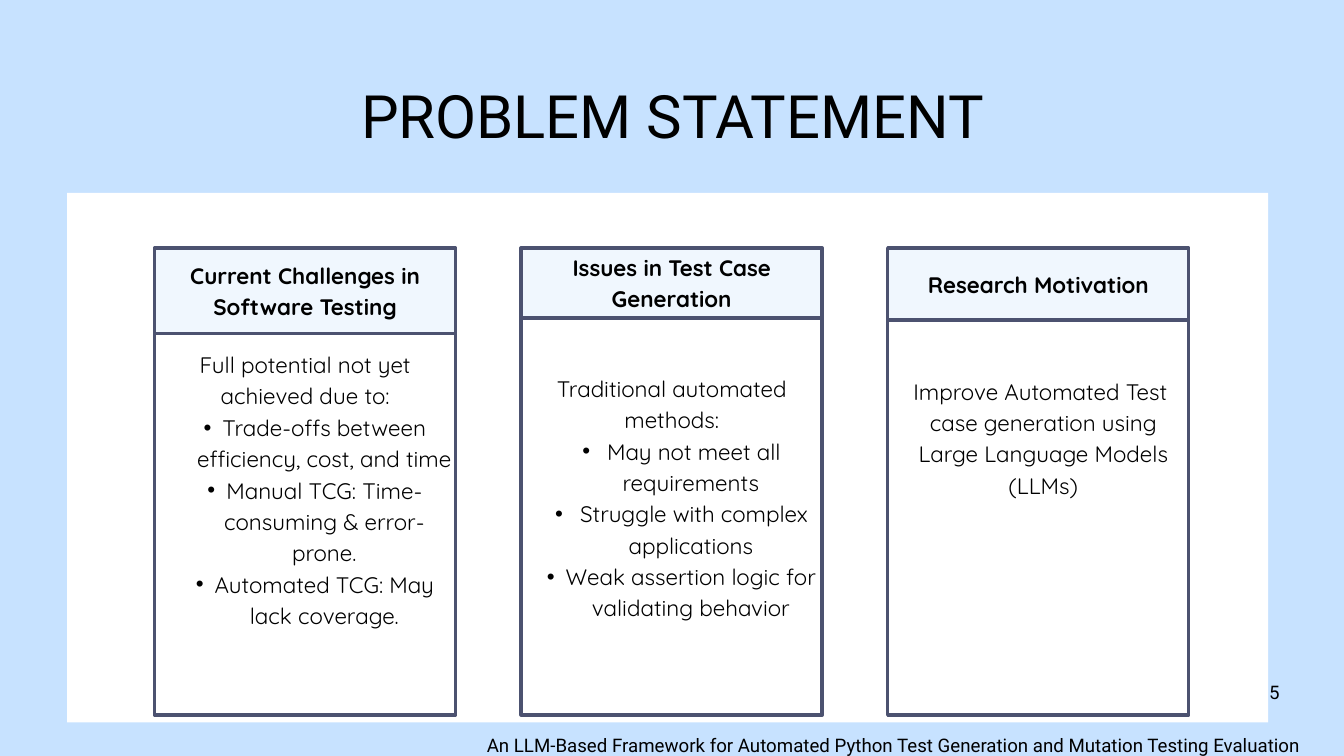
from dataclasses import dataclass

from lxml import etree
from pptx import Presentation
from pptx import util as u
from pptx.dml.color import RGBColor
from pptx.enum import shapes, text
from pptx.oxml.ns import qn

COLUMNS, ROWS = 20, 11.25
CELL = u.Inches(1)


@dataclass(frozen=True)
class Theme:
    backdrop: str = "C7E2FF"
    panel: str = "FFFFFF"
    head: str = "F0F7FE"
    border: str = "4C5270"
    ink: str = "000000"
    display: str = "Roboto"
    body: str = "Quicksand"
    title_size: float = 64
    body_size: float = 24
    note_size: float = 20
    leading: float = 1.4
    border_width: float = 3.75


THEME = Theme()


@dataclass(frozen=True)
class Box:
    column: float
    row: float
    columns: float
    rows: float

    def emu(self):
        return [round(n * CELL) for n in (self.column, self.row, self.columns, self.rows)]

    def split_rows(self, first):
        return (Box(self.column, self.row, self.columns, first),
                Box(self.column, self.row + first, self.columns, self.rows - first))

    def cards(self, count, width):
        pitch = (self.columns - width) / (count - 1)
        return [Box(self.column + i * pitch, self.row, width, self.rows) for i in range(count)]


CARDS = [
    {"head": "Current Challenges in Software Testing", "head_rows": 1.27,
     "lines": ["Full potential not yet achieved due to:"],
     "bullets": ["Trade-offs between efficiency, cost, and time",
                 "Manual TCG: Time-consuming & error-prone.",
                 "Automated TCG: May lack coverage."],
     "insets": (0.06, 0.06, 0.06, 1.14)},
    {"head": "Issues in Test Case Generation", "head_rows": 1.04,
     "lines": ["Traditional automated methods:"],
     "bullets": [" May not meet all requirements",
                 " Struggle with complex applications",
                 "Weak assertion logic for validating behavior"],
     "insets": (0.06, 0.06, 0.06, 0.67)},
    {"head": "Research Motivation", "head_rows": 1.07,
     "lines": ["Improve Automated Test ",
               "case generation using Large Language Models (LLMs)"],
     "bullets": [],
     "insets": (0.15, 0.06, 0, 2.48)},
]


def set_all(target, values):
    for name, value in values.items():
        setattr(target, name, value)


def add_bullet(paragraph):
    properties = paragraph._p.get_or_add_pPr()
    properties.set("marL", str(round(0.57 * CELL)))
    properties.set("indent", str(round(-0.28 * CELL)))
    etree.SubElement(properties, qn("a:buFont")).set("typeface", "Arial")
    etree.SubElement(properties, qn("a:buChar")).set("char", "•")


def write(shape, lines, font, size, bullets=(), bold=False, insets=(0, 0, 0, 0),
          anchor=text.MSO_ANCHOR.TOP, wrap=True):
    frame = shape.text_frame
    sides = ("margin_left", "margin_top", "margin_right", "margin_bottom")
    set_all(frame, {"word_wrap": wrap, "auto_size": text.MSO_AUTO_SIZE.NONE,
                    "vertical_anchor": anchor})
    set_all(frame, {side: round(inset * CELL) for side, inset in zip(sides, insets)})
    for i, line in enumerate([*lines, *bullets]):
        paragraph = frame.add_paragraph() if i else frame.paragraphs[0]
        set_all(paragraph, {"alignment": text.PP_ALIGN.CENTER,
                            "line_spacing": u.Pt(size * THEME.leading)})
        if i >= len(lines):
            paragraph.level = 1
            add_bullet(paragraph)
        run = paragraph.add_run()
        run.text = line
        set_all(run.font, {"name": font, "size": u.Pt(size), "bold": bold})
        run.font.color.rgb = RGBColor.from_string(THEME.ink)


def add_rectangle(slide, box, fill, border=None):
    shape = slide.shapes.add_shape(shapes.MSO_SHAPE.RECTANGLE, *box.emu())
    shape.shadow.inherit = False
    shape.fill.solid()
    shape.fill.fore_color.rgb = RGBColor.from_string(fill)
    if border:
        shape.line.color.rgb = RGBColor.from_string(border)
        shape.line.width = u.Pt(THEME.border_width)
    else:
        shape.line.fill.background()
    return shape


def add_title(slide, box, wording):
    title = slide.shapes.title
    set_all(title, dict(zip(("left", "top", "width", "height"), box.emu())))
    write(title, [wording], THEME.display, THEME.title_size)


def add_card(slide, box, card):
    head_box, body_box = box.split_rows(card["head_rows"])
    middle = text.MSO_ANCHOR.MIDDLE
    head = add_rectangle(slide, head_box, THEME.head, THEME.border)
    write(head, [card["head"]], THEME.body, THEME.body_size, bold=True,
          insets=(0.15, 0, 0.15, 0.06), anchor=middle)
    body = add_rectangle(slide, body_box, THEME.panel, THEME.border)
    write(body, card["lines"], THEME.body, THEME.body_size, bullets=card["bullets"],
          insets=card["insets"], anchor=middle)


def add_note(slide, box, wording, wrap=True):
    note = slide.shapes.add_textbox(*box.emu())
    write(note, [wording], THEME.display, THEME.note_size, wrap=wrap)


def main():
    presentation = Presentation()
    set_all(presentation, {"slide_width": COLUMNS * CELL,
                           "slide_height": round(ROWS * CELL)})
    slide = presentation.slides.add_slide(presentation.slide_layouts[5])
    slide.background.fill.solid()
    slide.background.fill.fore_color.rgb = RGBColor.from_string(THEME.backdrop)

    add_title(slide, Box(1.54, 1, 16.93, 1.19), "PROBLEM STATEMENT")
    add_rectangle(slide, Box(1, 2.87, 17.87, 7.88), THEME.panel)
    card_area = Box(2.3, 3.69, 15.39, 6.95)
    for box, card in zip(card_area.cards(len(CARDS), 4.48), CARDS):
        add_card(slide, box, card)
    add_note(slide, Box(18.88, 10.07, 0.17, 0.22), "5", wrap=False)
    add_note(slide, Box(6.67, 10.87, 13.25, 0.37),
             "An LLM-Based Framework for Automated Python Test Generation "
             "and Mutation Testing Evaluation")
    presentation.save("out.pptx")


if __name__ == "__main__":
    main()
